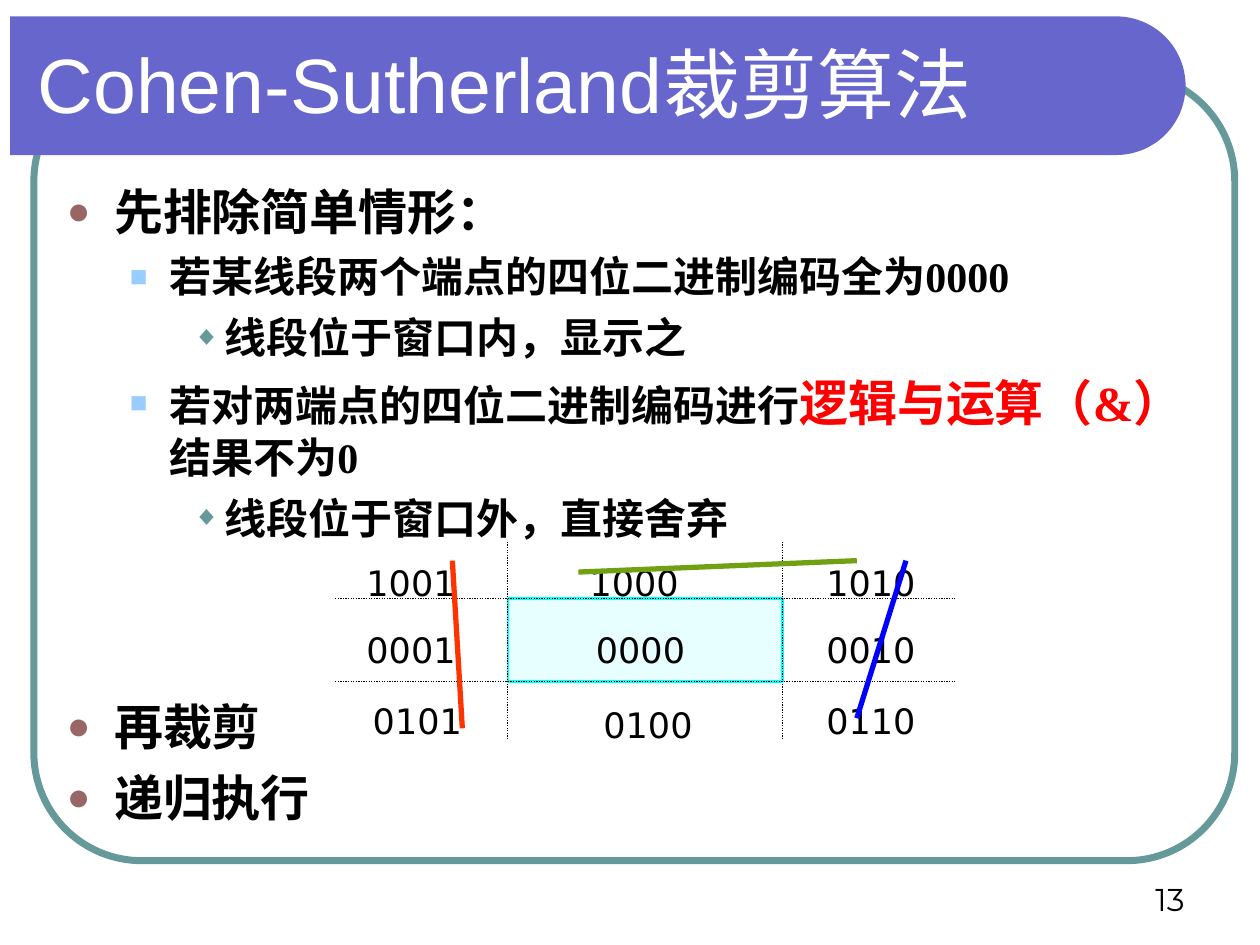
import math

import lxml.etree
import pptx
import pptx.dml.color
import pptx.enum.dml
import pptx.enum.shapes
import pptx.enum.text
import pptx.oxml.ns
import pptx.util

Pt = pptx.util.Pt
qn = pptx.oxml.ns.qn
Align = pptx.enum.text.PP_ALIGN
Anchor = pptx.enum.text.MSO_ANCHOR
Shapes = pptx.enum.shapes.MSO_SHAPE
DOTTED = pptx.enum.dml.MSO_LINE.ROUND_DOT

# level: (left margin, hanging indent, bullet, bullet colour, bullet size in %)
BULLETS = [
    (27, 27, "●", "996666", 80),
    (58.5, 22.5, "■", "99CCFF", 70),
    (90, 18, "◆", "669999", 65),
]

# (level, space before, runs of (text, size, colour))
OUTLINE = [
    (0, 0, [("先排除简单情形：", 28, "000000")]),
    (1, 6, [("若某线段两个端点的四位二进制编码全为0000", 24, "000000")]),
    (2, 6, [("线段位于窗口内，显示之", 24, "000000")]),
    (1, 6, [("若对两端点的四位二进制编码进行", 24, "000000"),
            ("逻辑与运算（&）", 28, "FF0000"),
            ("结果不为0", 24, "000000")]),
    (2, 6, [("线段位于窗口外，直接舍弃", 24, "000000")]),
    (0, 88, [("再裁剪", 28, "000000")]),  # leaves room for the diagram
    (0, 7, [("递归执行", 28, "000000")]),
]

WINDOW_X = (290.2, 447.1)
WINDOW_Y = (342, 389.5)

# (code, left, top)
REGION_CODES = [
    ("1001", 202.3, 317.5), ("1000", 329.8, 317.5), ("1010", 465.1, 317.5),
    ("0001", 202.3, 355.7), ("0000", 333.4, 355.7), ("0010", 465.1, 355.7),
    ("0101", 205.9, 396), ("0100", 337.7, 398.2), ("0110", 465.1, 396),
]

# (start, end, colour)
SEGMENTS = [
    ((264.2, 416.2), (258.5, 320.4), "FF3300"),
    ((330.5, 326.9), (489.6, 320.4), "71A012"),
    ((489.6, 410.4), (517.7, 320.4), "0000FF"),
]


def rgb(value):
    return pptx.dml.color.RGBColor.from_string(value)


class SlideBuilder:
    def __init__(self, slide):
        self.slide = slide

    def style(self, shape, fill=None, line=None, line_width=1, opacity=None):
        shape.shadow.inherit = False
        if fill:
            shape.fill.solid()
            shape.fill.fore_color.rgb = rgb(fill)
        else:
            shape.fill.background()
        if opacity:
            color = shape.element.spPr.find(qn("a:solidFill"))[0]
            lxml.etree.SubElement(color, qn("a:alpha"), val=str(opacity * 1000))
        if line:
            shape.line.color.rgb = rgb(line)
            shape.line.width = Pt(line_width)
        else:
            shape.line.fill.background()

    def box(self, kind, left, top, width, height, **style):
        shape = self.slide.shapes.add_shape(
            kind, Pt(left), Pt(top), Pt(width), Pt(height))
        self.style(shape, **style)
        return shape

    def title_band(self, left, top, right, height, fill):
        """Bar with a flat left end and a half-round right end."""
        radius = height / 2
        angles = [math.radians(degrees) for degrees in range(-90, 91, 3)]
        points = [(Pt(right - radius + radius * math.cos(angle)),
                   Pt(top + radius + radius * math.sin(angle)))
                  for angle in angles]
        builder = self.slide.shapes.build_freeform(Pt(left), Pt(top))
        builder.add_line_segments(points + [(Pt(left), Pt(top + height))])
        self.style(builder.convert_to_shape(), fill=fill)

    def line(self, start, end, color, width, dash=None):
        connector = self.slide.shapes.add_connector(
            pptx.enum.shapes.MSO_CONNECTOR.STRAIGHT,
            *(Pt(value) for value in (*start, *end)))
        connector.line.color.rgb = rgb(color)
        connector.line.width = Pt(width)
        if dash:
            connector.line.dash_style = dash
        lxml.etree.SubElement(connector.element.spPr, qn("a:effectLst"))

    def format_run(self, run, font, size, color, bold=False):
        run.font.name = font
        run.font.size = Pt(size)
        run.font.color.rgb = rgb(color)
        run.font.bold = bold

    def text(self, text, left, top, width, height, font, size,
             align=Align.LEFT, anchor=Anchor.TOP):
        shape = self.slide.shapes.add_textbox(
            Pt(left), Pt(top), Pt(width), Pt(height))
        frame = shape.text_frame
        frame.word_wrap = True
        frame.vertical_anchor = anchor
        frame.text = text
        frame.paragraphs[0].alignment = align
        self.format_run(frame.paragraphs[0].runs[0], font, size, "000000")

    def placeholder(self, index, left, top, width, height, anchor):
        """Place a placeholder in front of everything drawn so far."""
        shape = self.slide.placeholders[index]
        shape.left, shape.top = Pt(left), Pt(top)
        shape.width, shape.height = Pt(width), Pt(height)
        shape.element.getparent().append(shape.element)
        frame = shape.text_frame
        frame.auto_size = pptx.enum.text.MSO_AUTO_SIZE.NONE
        frame.word_wrap = True
        frame.vertical_anchor = anchor
        return frame

    def title(self, text, *place):
        frame = self.placeholder(0, *place, Anchor.MIDDLE)
        frame.text = text
        frame.paragraphs[0].alignment = Align.LEFT
        self.format_run(frame.paragraphs[0].runs[0], "Arial", 44, "FFFFFF")

    def bullet(self, paragraph, level):
        margin, hanging, char, color, percent = BULLETS[level]
        paragraph.level = level
        properties = paragraph._p.get_or_add_pPr()
        properties.set("marL", str(Pt(margin)))
        properties.set("indent", str(-Pt(hanging)))
        bullet_color = lxml.etree.SubElement(properties, qn("a:buClr"))
        lxml.etree.SubElement(bullet_color, qn("a:srgbClr"), val=color)
        lxml.etree.SubElement(properties, qn("a:buSzPct"), val=str(percent * 1000))
        lxml.etree.SubElement(properties, qn("a:buChar"), char=char)

    def outline(self, items, *place):
        frame = self.placeholder(1, *place, Anchor.TOP)
        for number, (level, space_before, runs) in enumerate(items):
            paragraph = frame.add_paragraph() if number else frame.paragraphs[0]
            self.bullet(paragraph, level)
            paragraph.space_before = Pt(space_before)
            for text, size, color in runs:
                run = paragraph.add_run()
                run.text = text
                self.format_run(run, "Times New Roman", size, color, bold=True)


def main():
    presentation = pptx.Presentation()
    presentation.slide_width, presentation.slide_height = Pt(720), Pt(540)
    slide = presentation.slides.add_slide(presentation.slide_layouts[1])
    builder = SlideBuilder(slide)

    frame = builder.box(Shapes.ROUNDED_RECTANGLE, 19.4, 41.8, 686.2, 450,
                        line="669999", line_width=4)
    frame.adjustments[0] = 0.137
    builder.title_band(5.8, 9.4, 677.5, 79.2, "6666CC")
    builder.line((24.5, 95.8), (660.2, 95.8), "FFFFFF", 3)
    builder.title("Cohen-Sutherland裁剪算法", 14.4, 9.4, 661, 75.6)
    builder.outline(OUTLINE, 31, 100, 663, 386)
    builder.text("13", 516.2, 491.8, 167.8, 36, "Montserrat", 18,
                 Align.RIGHT, Anchor.BOTTOM)

    (left, right), (top, bottom) = WINDOW_X, WINDOW_Y
    builder.box(Shapes.RECTANGLE, left, top, right - left, bottom - top,
                fill="CCFFFF", opacity=46, line="00FFFF", line_width=1.5)
    for y in WINDOW_Y:
        builder.line((191.5, y), (545.8, y), "000000", 0.75, DOTTED)
    for x in WINDOW_X:
        builder.line((x, 309.6), (x, 421.9), "000000", 0.75, DOTTED)
    for code, x, y in REGION_CODES:
        builder.text(code, x, y, 72.7, 31.7, "DejaVu Sans", 20)
    for start, end, color in SEGMENTS:
        builder.line(start, end, color, 3)

    presentation.save("out.pptx")


if __name__ == "__main__":
    main()
